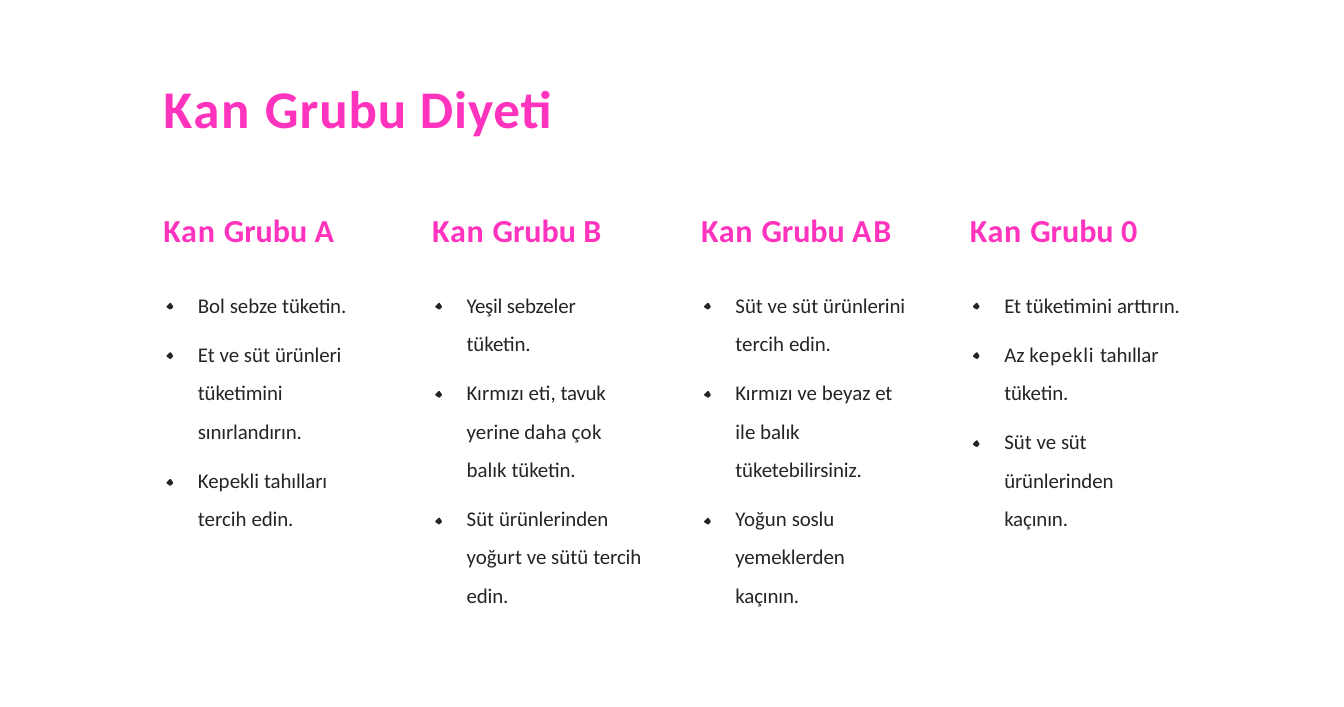
import pptx
import pptx.util
import pptx.dml.color
import pptx.enum.text

PX = 9144  # 100 px to the inch
PINK = pptx.dml.color.RGBColor(0xFF, 0x33, 0xBE)
DARK = pptx.dml.color.RGBColor(0x26, 0x25, 0x25)

TITLE = {"name": "Calibri", "size": pptx.util.Pt(35.5), "bold": True}
HEAD = {"name": "Calibri", "size": pptx.util.Pt(21.5), "bold": True}
BODY = {"name": "Calibri", "size": pptx.util.Pt(14), "bold": False}

LEFT, STEP = 150, 250
LINE, GAP = 36, 10
MARK = [(4, 0), (6, 3), (6, 4), (4, 6), (3, 6), (0, 4), (0, 3)]

# Group name, its letter spacing, text width, and items: each item is
# its line count, right indent and runs of (text, letter spacing).
GROUPS = [
    ("A", 0.4, 149, [
        (1, 0, [("Bol sebze ", 0), ("tüketin.", -0.1)]),
        (3, 0, [("Et ve süt ", 0),
                ("ürünleri tüketimini sınırlandırın.", -0.1)]),
        (2, 0, [("Kepekli ", 0), ("tahılları ", -0.1), ("tercih ", 0),
                ("edin.", -0.1)]),
    ]),
    ("B", 1.5, 169, [
        (2, 30, [("Yeşil ", -0.2), ("sebzeler tüketin.", -0.1)]),
        (3, 0, [("Kırmızı eti, ", 0), ("tavuk ", -0.2), ("yerine daha ", 0),
                ("çok ", 0.3), ("balık ", 0), ("tüketin.", -0.1)]),
        (3, 0, [("Süt ", 0), ("ürünlerinden ", -0.1), ("yoğurt ve sütü ", 0),
                ("tercih edin.", -0.1)]),
    ]),
    ("AB", 1.1, 164, [
        (2, 0, [("Süt ve süt ", 0), ("ürünlerini ", -0.1), ("tercih ", 0),
                ("edin.", -0.1)]),
        (3, 0, [("Kırmızı ve beyaz ", 0), ("et ", -0.2), ("ile ", 0),
                ("balık tüketebilirsiniz.", -0.1)]),
        (3, 0, [("Yoğun ", 0), ("soslu yemeklerden kaçının.", -0.1)]),
    ]),
    ("0", 0.8, 172, [
        (1, 0, [("Et tüketimini ", 0), ("arttırın.", -0.1)]),
        (2, 0, [("Az ", 0), ("kepekli ", 0.5), ("tahıllar tüketin.", -0.1)]),
        (3, 30, [("Süt ve ", 0), ("süt ", -0.2),
                 ("ürünlerinden kaçının.", -0.1)]),
    ]),
]


def add_text(slide, box, paras, style, color, lead=1.0):
    """Write paragraphs, each a right indent and (text, spacing) runs."""
    frame = slide.shapes.add_textbox(*(v * PX for v in box)).text_frame
    form = {"word_wrap": True, "margin_left": 2 * PX, "margin_top": PX,
            "margin_right": 0, "margin_bottom": 0,
            "auto_size": pptx.enum.text.MSO_AUTO_SIZE.SHAPE_TO_FIT_TEXT}
    for key, value in form.items():
        setattr(frame, key, value)
    for i, (indent, runs) in enumerate(paras):
        para = frame.add_paragraph() if i else frame.paragraphs[0]
        para.line_spacing = lead
        para.space_before = pptx.util.Pt(7.1 if i else 0)
        para._p.get_or_add_pPr().set("marR", str(indent * PX))
        for text, space in runs:
            run = para.add_run()
            run.text = text
            for key, value in style.items():
                setattr(run.font, key, value)
            run.font.color.rgb = color
            run._r.get_or_add_rPr().set("spc", str(round(space * 100)))


def add_mark(slide, x, y):
    """Draw a blunt diamond as the mark of one item."""
    pen = slide.shapes.build_freeform(3, 0, scale=PX)
    pen.add_line_segments(MARK, close=True)
    mark = pen.convert_to_shape(x * PX, y * PX)
    mark.shadow.inherit = False
    mark.fill.solid()
    mark.fill.fore_color.rgb = DARK
    mark.line.fill.background()


def add_group(slide, x, y, group):
    name, space, width, items = group
    head = [("Kan ", 0.5), ("Grubu ", 0), (name, space)]
    add_text(slide, (x, y, 185, 39), [(0, head)], HEAD, PINK)
    top = y + 87
    row = top
    for lines, _, _ in items:
        add_mark(slide, x + 5, row)
        row += lines * LINE + GAP
    add_text(slide, (x + 32, y + 64, width, row - top - GAP),
             [item[1:] for item in items], BODY, DARK, lead=1.53)


def main():
    deck = pptx.Presentation()
    deck.slide_width, deck.slide_height = 1250 * PX, 658 * PX
    slide = deck.slides.add_slide(deck.slide_layouts[6])
    title = [("Kan ", 1.1), ("Grubu Diyeti", 0.6)]
    add_text(slide, (LEFT, 69, 400, 63), [(0, title)], TITLE, PINK)
    for i, group in enumerate(GROUPS):
        add_group(slide, LEFT + i * STEP, 195, group)
    deck.save("out.pptx")


if __name__ == "__main__":
    main()
